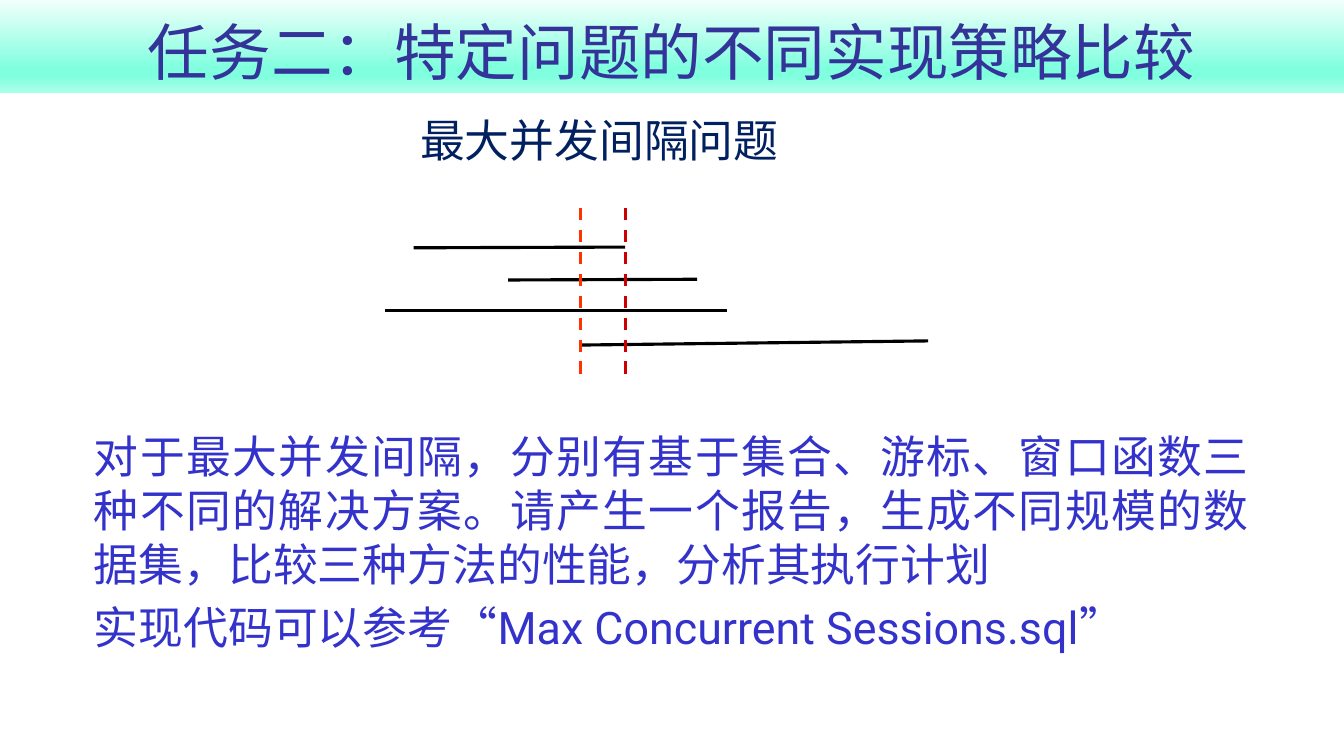
from dataclasses import dataclass

from lxml import etree
from pptx import Presentation
from pptx.dml.color import RGBColor
from pptx.enum import dml, lang, shapes, text
from pptx.oxml import ns
from pptx.util import Pt


@dataclass(frozen=True)
class Theme:
    font: str = "Roboto"
    head: str = "333399"
    body: str = "3333CC"
    label: str = "002060"
    bar: str = "000000"
    start: str = "FF3300"
    end: str = "CC0000"
    band: tuple = ((0, "F1FFFB"), (74, "80FFDE"), (83, "80FFDE"), (100, "AAFFE9"))
    big: int = 44
    mid: int = 32
    line: float = 2.25


THEME = Theme()


def write(frame, lines, size, color, align, gap=0):
    frame.text = "\n".join(lines)
    for para in frame.paragraphs:
        para.alignment = align
        para.space_before = Pt(gap)
        for run in para.runs:
            font = run.font
            font.name, font.size = THEME.font, Pt(size)
            font.color.rgb = RGBColor.from_string(color)
            font.language_id = lang.MSO_LANGUAGE_ID.SIMPLIFIED_CHINESE


def shade(shape, stops):
    """Fill the shape with a gradient running from top to bottom."""
    shape.fill.gradient()
    shape.fill.gradient_angle = 270
    group = shape.fill._xPr.find(ns.qn("a:gradFill")).find(ns.qn("a:gsLst"))
    for old in list(group):
        group.remove(old)
    for place, color in stops:
        stop = etree.SubElement(group, ns.qn("a:gs"), pos=str(place * 1000))
        etree.SubElement(stop, ns.qn("a:srgbClr"), val=color)


def title(slide, box, words):
    band = slide.shapes.add_shape(shapes.MSO_SHAPE.RECTANGLE, *map(Pt, box))
    band.shadow.inherit = False
    band.line.fill.background()
    shade(band, THEME.band)
    band.text_frame.word_wrap = True
    band.text_frame.vertical_anchor = text.MSO_ANCHOR.BOTTOM
    write(band.text_frame, [words], THEME.big, THEME.head, text.PP_ALIGN.CENTER)


def prose(slide, box, lines, color, wrap=True):
    area = slide.shapes.add_textbox(*map(Pt, box))
    area.text_frame.word_wrap = wrap
    write(area.text_frame, lines, THEME.mid, color,
          text.PP_ALIGN.JUSTIFY, gap=THEME.mid * 0.2)


def stroke(slide, ends, color, dash=False):
    line = slide.shapes.add_connector(shapes.MSO_CONNECTOR.STRAIGHT, *map(Pt, ends))
    line.line.color.rgb = RGBColor.from_string(color)
    line.line.width = Pt(THEME.line)
    if dash:
        line.line.dash_style = dml.MSO_LINE.DASH
    etree.SubElement(line._element.spPr, ns.qn("a:effectLst"))


def chart(slide, box):
    """Draw the sessions as bars, with dashed marks around their overlap."""
    left, top, width, height = box
    start, end = 139.5, 171.5
    bars = ((0, 73, width, 73), (20.5, 28.5, end, 28),
            (88, 51.5, 223, 51), (start, 98, 388, 95))
    for x1, y1, x2, y2 in bars:
        stroke(slide, (left + x1, top + y1, left + x2, top + y2), THEME.bar)
    for x, color in ((start, THEME.start), (end, THEME.end)):
        stroke(slide, (left + x, top, left + x, top + height), color, dash=True)


def main():
    deck = Presentation()
    deck.slide_width, deck.slide_height = Pt(960), Pt(540)
    slide = deck.slides.add_slide(deck.slide_layouts[6])
    title(slide, (0, 0, 960, 66), "任务二：特定问题的不同实现策略比较")
    prose(slide, (60, 303, 839.5, 184.5), [
        "对于最大并发间隔，分别有基于集合、游标、窗口函数三种不同的解决方案。"
        "请产生一个报告，生成不同规模的数据集，比较三种方法的性能，分析其执行计划",
        "实现代码可以参考“Max Concurrent Sessions.sql”",
    ], THEME.body)
    chart(slide, (275, 148.5, 244, 124))
    prose(slide, (293, 77, 273, 46), ["最大并发间隔问题"], THEME.label, wrap=False)
    deck.save("out.pptx")


if __name__ == "__main__":
    main()
